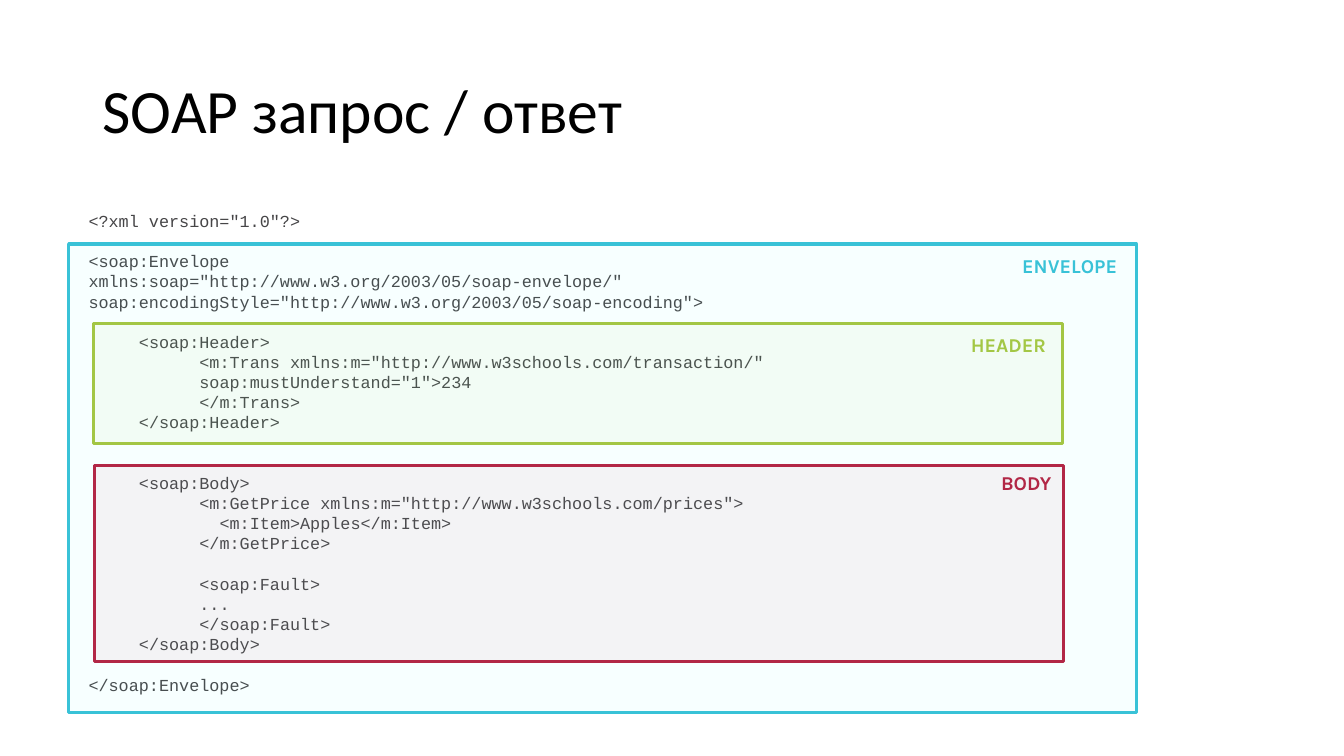
from pptx import Presentation
from pptx import util as u
from pptx.dml.color import RGBColor
from pptx.enum import shapes, text
from pptx.oxml.ns import qn
from lxml import etree

deck = Presentation()
deck.slide_width, deck.slide_height = u.Inches(13.33), u.Inches(7.5)
slide = deck.slides.add_slide(deck.slide_layouts[6])


def tint(fmt, color):
    fmt.rgb = RGBColor.from_string(color)


def write(box, lines, size, face, color, bold=False):
    """Add a text box with one paragraph per line; return its frame."""
    frame = slide.shapes.add_textbox(*map(u.Inches, box)).text_frame
    frame.word_wrap = True
    frame.text = "\n".join(lines)
    for par in frame.paragraphs:
        par.font.size, par.font.name, par.font.bold = u.Pt(size), face, bold
        tint(par.font.color, color)
    return frame


# Title
title = write((0.92, 0.4, 11.5, 1.45), ["SOAP запрос / ответ"], 44, "Calibri", "000000")
title.vertical_anchor = text.MSO_ANCHOR.MIDDLE
title.paragraphs[0].line_spacing = 0.9

# Code: indent level, blank lines above, text
code = [
    (0, 0, '<?xml version="1.0"?>'),
    (0, 1, '<soap:Envelope'),
    (0, 0, 'xmlns:soap="http://www.w3.org/2003/05/soap-envelope/"'),
    (0, 0, 'soap:encodingStyle="http://www.w3.org/2003/05/soap-encoding">'),
    (1, 1, '<soap:Header>'),
    (2, 0, ' <m:Trans xmlns:m="http://www.w3schools.com/transaction/"'),
    (2, 0, ' soap:mustUnderstand="1">234'),
    (2, 0, ' </m:Trans>'),
    (1, 0, '</soap:Header>'),
    (1, 2, '<soap:Body>'),
    (2, 0, ' <m:GetPrice xmlns:m="http://www.w3schools.com/prices">'),
    (2, 0, '   <m:Item>Apples</m:Item>'),
    (2, 0, ' </m:GetPrice>'),
    (2, 1, ' <soap:Fault>'),
    (2, 0, ' ...'),
    (2, 0, ' </soap:Fault>'),
    (1, 0, '</soap:Body>'),
    (0, 1, '</soap:Envelope>'),
]
pitch = 14.4
body = write((0.78, 2.04, 10.7, 4.95), [row[2] for row in code], 12, "Courier New", "464547")
for par, (level, gap, line) in zip(body.paragraphs, code):
    par.level = level
    par.line_spacing = u.Pt(pitch)
    par.space_before = u.Pt(gap * pitch)
    props = par._p.get_or_add_pPr()
    props.set("marL", str(u.Inches(0.5 * level)))
    props.set("indent", "0")

# Frames with their labels: name, frame box, label box, fill, line, label colour
parts = [
    ("ENVELOPE", (0.68, 2.42, 10.59, 4.65), (10.04, 2.42, 1.23, 0.33), "66FFFF", "39C2D7", "39C2D7"),
    ("HEADER", (0.93, 3.21, 9.61, 1.19), (9.53, 3.21, 1.01, 0.34), "A3C745", "A3C644", "A3C745"),
    ("BODY", (0.94, 4.62, 9.61, 1.94), (9.83, 4.58, 0.72, 0.33), "B22746", "B22746", "B22746"),
]
for name, box, spot, fill, edge, ink in parts:
    rect = slide.shapes.add_shape(shapes.MSO_SHAPE.RECTANGLE, *map(u.Inches, box))
    rect.shadow.inherit = False
    rect.fill.solid()
    tint(rect.fill.fore_color, fill)
    shade = rect.fill._xPr.find(qn("a:solidFill"))[0]
    etree.SubElement(shade, qn("a:alpha"), val="5000")
    tint(rect.line.color, edge)
    rect.line.width = u.Pt(2.25)
    label = write(spot, [name], 14, "Karla", ink, True)
    label.word_wrap = False
    label.paragraphs[0].line_spacing = 1.2

deck.save("out.pptx")
